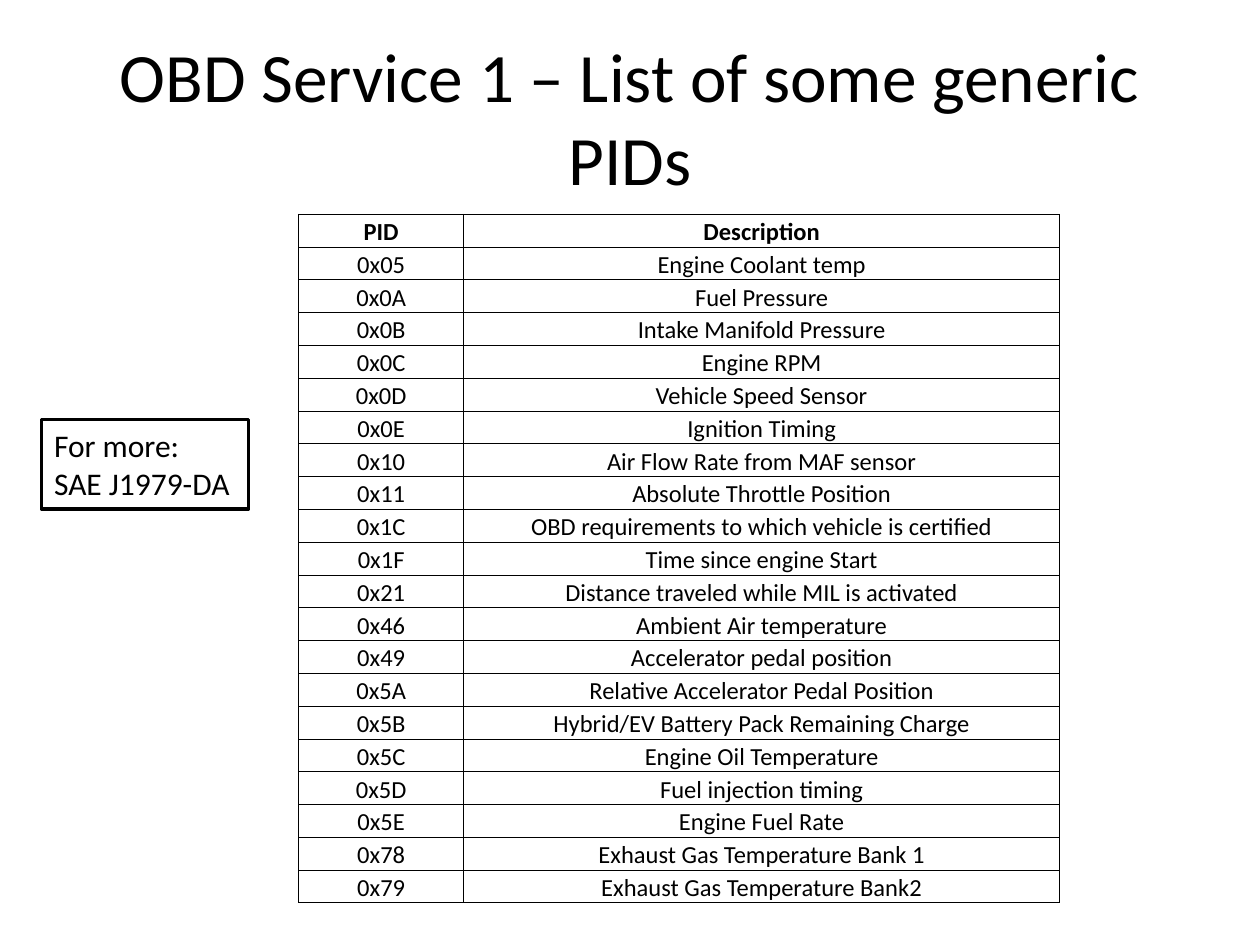
from lxml import etree
from pptx import Presentation
from pptx.dml.color import RGBColor
from pptx.enum import shapes, text
from pptx.oxml import ns
from pptx.util import Cm, Pt

BLACK = RGBColor(0x00, 0x00, 0x00)
WHITE = RGBColor(0xFF, 0xFF, 0xFF)
FONT = "Calibri"

PIDS = [
    ("PID", "Description"),
    ("0x05", "Engine Coolant temp"),
    ("0x0A", "Fuel Pressure"),
    ("0x0B", "Intake Manifold Pressure"),
    ("0x0C", "Engine RPM"),
    ("0x0D", "Vehicle Speed Sensor"),
    ("0x0E", "Ignition Timing"),
    ("0x10", "Air Flow Rate from MAF sensor"),
    ("0x11", "Absolute Throttle Position"),
    ("0x1C", "OBD requirements to which vehicle is certified"),
    ("0x1F", "Time since engine Start"),
    ("0x21", "Distance traveled while MIL is activated"),
    ("0x46", "Ambient Air temperature"),
    ("0x49", "Accelerator pedal position"),
    ("0x5A", "Relative Accelerator Pedal Position"),
    ("0x5B", "Hybrid/EV Battery Pack Remaining Charge"),
    ("0x5C", "Engine Oil Temperature"),
    ("0x5D", "Fuel injection timing"),
    ("0x5E", "Engine Fuel Rate"),
    ("0x78", "Exhaust Gas Temperature Bank 1"),
    ("0x79", "Exhaust Gas Temperature Bank2"),
]


def format_paragraph(paragraph, size, alignment, bold=False):
    paragraph.alignment = alignment
    font = paragraph.font
    font.name, font.size, font.bold = FONT, Pt(size), bold
    font.color.rgb = BLACK


def add_borders(cell, width):
    """Put black lines on all four sides; they must precede the cell fill."""
    properties = cell._tc.get_or_add_tcPr()
    for position, side in enumerate(("lnL", "lnR", "lnT", "lnB")):
        line = etree.Element(ns.qn(f"a:{side}"), w=str(Pt(width)))
        fill = etree.SubElement(line, ns.qn("a:solidFill"))
        etree.SubElement(fill, ns.qn("a:srgbClr"), val=str(BLACK))
        properties.insert(position, line)


def place_title(slide, left, top, width, height):
    title = slide.shapes.title
    title.left, title.top, title.width, title.height = left, top, width, height
    frame = title.text_frame
    frame.text = "OBD Service 1 – List of some generic PIDs"
    frame.word_wrap = True
    frame.vertical_anchor = text.MSO_ANCHOR.MIDDLE
    format_paragraph(frame.paragraphs[0], 39.6, text.PP_ALIGN.CENTER)


def place_pid_table(slide, left, top, width, height):
    table = slide.shapes.add_table(
        len(PIDS), 2, left, top, width, height).table
    table.horz_banding = False
    pid_width = Cm(3.33)
    table.columns[0].width = pid_width
    table.columns[1].width = width - pid_width
    for row_index, values in enumerate(PIDS):
        for column_index, value in enumerate(values):
            cell = table.cell(row_index, column_index)
            cell.text = value
            cell.fill.solid()
            cell.fill.fore_color.rgb = WHITE
            cell.vertical_anchor = text.MSO_ANCHOR.BOTTOM
            cell.margin_left = cell.margin_right = cell.margin_top = Cm(0.02)
            cell.margin_bottom = 0
            format_paragraph(cell.text_frame.paragraphs[0], 14,
                             text.PP_ALIGN.CENTER, bold=row_index == 0)
            add_borders(cell, 0.5)


def place_reference_box(slide, left, top, width, height):
    box = slide.shapes.add_shape(
        shapes.MSO_SHAPE.RECTANGLE, left, top, width, height)
    box.shadow.inherit = False
    box.fill.background()
    box.line.color.rgb = BLACK
    box.line.width = Pt(2)
    frame = box.text_frame
    frame.text = "For more:\nSAE J1979-DA"
    frame.word_wrap = False
    frame.auto_size = text.MSO_AUTO_SIZE.SHAPE_TO_FIT_TEXT
    frame.vertical_anchor = text.MSO_ANCHOR.TOP
    for paragraph in frame.paragraphs:
        format_paragraph(paragraph, 18, text.PP_ALIGN.LEFT)


def main():
    presentation = Presentation()
    presentation.slide_width, presentation.slide_height = Cm(25.4), Cm(19.05)
    title_only = presentation.slide_layouts[5]
    slide = presentation.slides.add_slide(title_only)

    # Title across the top
    place_title(slide, Cm(1.27), Cm(0.76), Cm(22.86), Cm(3.18))
    # Table of PIDs
    place_pid_table(slide, Cm(6.02), Cm(4.32), Cm(15.34), Cm(13.89))
    # Pointer to the full list, beside the table
    place_reference_box(slide, Cm(0.84), Cm(8.46), Cm(4.17), Cm(1.8))

    presentation.save("out.pptx")


if __name__ == "__main__":
    main()
